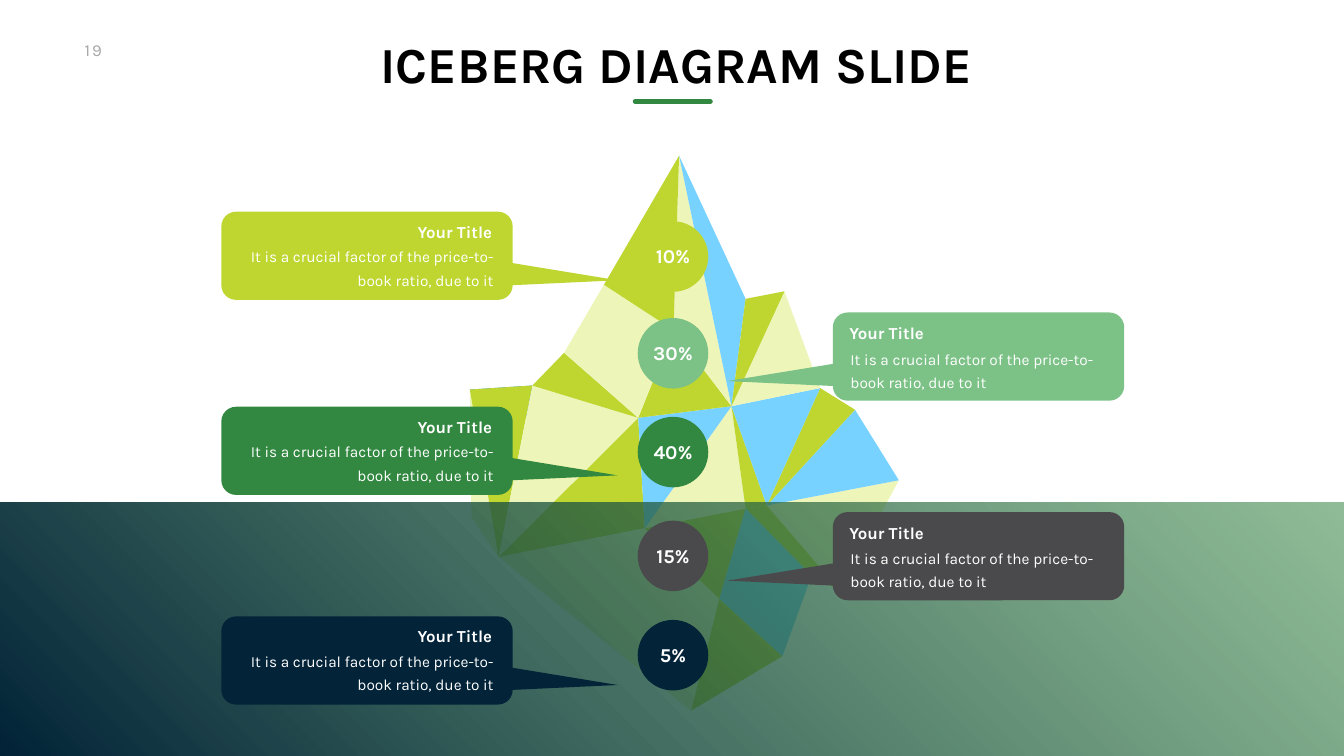
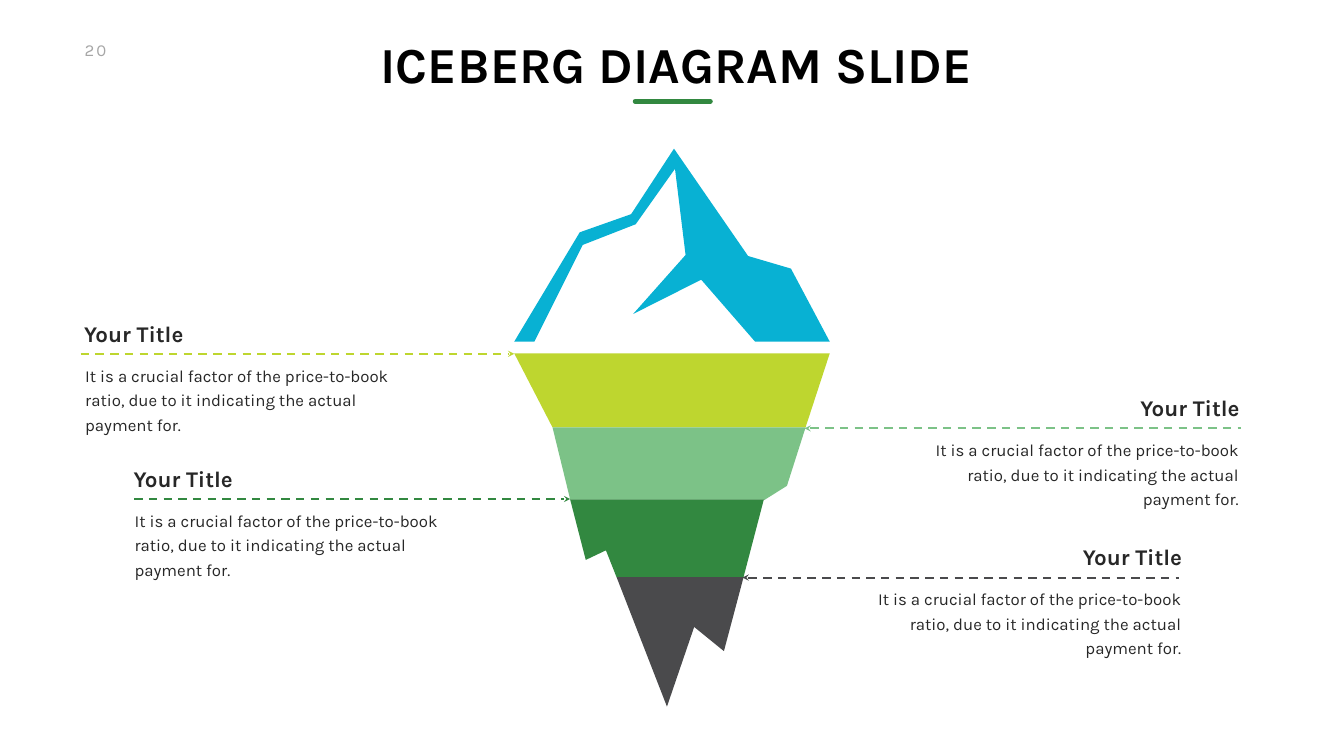
"""Builds two iceberg diagram slides."""
from lxml.etree import SubElement
from pptx import Presentation
from pptx.dml.color import RGBColor
from pptx.enum.dml import MSO_LINE_DASH_STYLE as DASH
from pptx.enum.shapes import MSO_CONNECTOR, MSO_SHAPE
from pptx.enum.text import MSO_ANCHOR as ANCHOR, MSO_AUTO_SIZE as AUTO_SIZE, PP_ALIGN as ALIGN
from pptx.oxml.ns import qn
from pptx.util import Inches, Pt

COLORS = {
    "white": "FFFFFF", "black": "000000", "ink": "272727", "number": "A6A6A6",
    "lime": "BED62F", "mint": "7CC287", "green": "328840", "gray": "4A4A4C", "navy": "022338",
    "pale": "EEF5B8", "sky": "78D2FF", "blue": "2191C9", "cyan": "08B1D3", "sea": "428D4E",
}
FONT = "Karla"
BODY_INSETS = (0.24, 0.12, 0.24, 0.12)
CALLOUT_TEXT = "It is a crucial factor of the price-to-book ratio, due to it"
NOTE_TEXT = CALLOUT_TEXT + " indicating the actual payment for."

CORNERS = {
    "Z": (4.15, 0), "a": (4.04, 3.46), "b": (2.66, 2.56), "c": (1.87, 3.91),
    "d": (1.24, 4.56), "e": (0, 4.64), "f": (0.57, 7.96), "g": (3.34, 5.2),
    "h": (3.47, 7.39), "i": (5.19, 4.97), "j": (5.47, 7), "k": (5.89, 6.94),
    "l": (5.47, 2.84), "m": (6.24, 2.69), "n": (6.95, 4.61), "o": (7.64, 5.04),
    "p": (8.51, 6.44), "q": (7.33, 8.62), "r": (6.78, 8.33), "s": (4.95, 8.79),
    "t": (6.2, 9.93), "u": (4.39, 11.01), "v": (0.03, 7.16), "w": (2.25, 5.82),
}
FACETS = [
    ("pale", "evf sufkj pqk"), ("blue", "ewd"), ("lime", "ust shj jkqr"), ("sky", "rtsj"),
    ("pale", "ijh"), ("lime", "hfg fed"), ("pale", "fdg"), ("lime", "dcg"), ("sky", "ihg"),
    ("lime", "gai"), ("pale", "agcb aZi"), ("sky", "iZl"), ("lime", "abZ"), ("sky", "opk"),
    ("lime", "okn jik"), ("sky", "nki"), ("pale", "nim"), ("lime", "ilm"),
]
LAYERS = [
    ("cyan", [(0.4, 3.83), (1.36, 1.91), (2.41, 1.5), (3.19, 0.4), (3.4, 2.11), (2.36, 3.28),
              (3.71, 2.6), (4.78, 3.83), (6.26, 3.83), (5.49, 2.38), (4.64, 2.13), (3.17, 0),
              (2.32, 1.3), (1.3, 1.66), (0, 3.83)]),
    ("lime", [(6.26, 4.06), (0, 4.06), (0.76, 5.53), (5.78, 5.53)]),
    ("mint", [(0.76, 5.53), (1.11, 6.96), (4.98, 6.96), (5.41, 6.69), (5.78, 5.53)]),
    ("green", [(1.11, 6.96), (1.42, 8.16), (1.82, 7.97), (2.03, 8.5), (4.55, 8.5),
               (4.95, 6.97), (4.98, 6.96)]),
    ("gray", [(2.03, 8.5), (3.03, 11.07), (3.57, 9.49), (4.16, 9.97), (4.55, 8.5)]),
]
SHARES = [(4.39, "10%", "lime"), (6.31, "30%", "mint"), (8.27, "40%", "green"),
          (10.33, "15%", "gray"), (12.3, "5%", "navy")]
CALLOUTS = [(4.39, 4.2, "lime", True), (4.39, 8.07, "green", True), (4.39, 12.23, "navy", True),
            (16.52, 6.2, "mint", False), (16.52, 10.16, "gray", False)]
NOTES = [(24.69, 8.5, 24.61, 15.96, "mint"), (23.55, 11.46, 23.38, 14.73, "gray"),
         (1.57, 7.02, 1.6, 10.2, "lime"), (2.55, 9.9, 2.66, 11.31, "green")]


def rgb(name):
    """Returns a palette colour."""
    return RGBColor.from_string(COLORS[name])


def paint(shape, color):
    """Gives a shape a plain fill without line or shadow."""
    shape.shadow.inherit = False
    shape.fill.solid()
    shape.fill.fore_color.rgb = rgb(color)
    shape.line.fill.background()


def add_text(slide, box, text, size, color, bold=False, align=ALIGN.LEFT, anchor=ANCHOR.TOP,
             insets=(0.1, 0.05, 0.1, 0.05), wrap=False, leading=None):
    """Adds one paragraph of text in a box that grows with it."""
    frame = slide.shapes.add_textbox(*map(Inches, box)).text_frame
    frame.word_wrap = wrap
    frame.auto_size = AUTO_SIZE.SHAPE_TO_FIT_TEXT
    frame.vertical_anchor = anchor
    (frame.margin_left, frame.margin_top,
     frame.margin_right, frame.margin_bottom) = map(Inches, insets)
    paragraph = frame.paragraphs[0]
    paragraph.text = text
    paragraph.alignment = align
    if leading:
        paragraph.line_spacing = Pt(leading)
    font = paragraph.font
    font.name, font.size, font.bold = FONT, Pt(size), bold
    font.color.rgb = rgb(color)
    return paragraph


def add_line(slide, start, end, y, color, width):
    """Adds a horizontal line and returns it."""
    rule = slide.shapes.add_connector(
        MSO_CONNECTOR.STRAIGHT, Inches(start), Inches(y), Inches(end), Inches(y))
    rule.line.color.rgb = rgb(color)
    rule.line.width = Pt(width)
    SubElement(rule._element.spPr, qn("a:effectLst"))
    return rule


def add_polygon(slide, left, top, points, color):
    """Adds a closed outline whose points are measured from left and top."""
    corners = [(Inches(left + x), Inches(top + y)) for x, y in points]
    builder = slide.shapes.build_freeform(*corners[0])
    builder.add_line_segments(corners[1:], close=True)
    paint(builder.convert_to_shape(), color)


def add_heading(slide, number):
    """Adds the page number, the title and its underline."""
    page = add_text(slide, (1.58, 0.74, 0.75, 0.5), number, 24, "number")
    page.runs[0].font._element.set("spc", "300")
    add_text(slide, (7.17, 0.65, 12.39, 1.21), "ICEBERG DIAGRAM SLIDE", 72, "black", True,
             ALIGN.CENTER, insets=(0.1, 0, 0, 0))
    underline = add_line(slide, 12.6, 14.09, 2.01, "green", 7)
    underline.line._get_or_add_ln().set("cap", "rnd")


def add_faceted_iceberg(slide, left, top):
    """Draws the iceberg from facets that share their corners."""
    for color, facets in FACETS:
        for facet in facets.split():
            add_polygon(slide, left, top, [CORNERS[key] for key in facet], color)


def add_water(slide, left, top, width, height):
    """Covers the lower part with a half transparent gradient."""
    water = slide.shapes.add_shape(
        MSO_SHAPE.RECTANGLE, *map(Inches, (left, top, width, height)))
    water.shadow.inherit = False
    water.line.fill.background()
    water.fill.gradient()
    water.fill.gradient_angle = 45
    for stop, color, position in zip(water.fill.gradient_stops, ("navy", "sea"), (0, 1)):
        stop.color.rgb = rgb(color)
        stop.position = position
    surface = water._element.spPr.findall(".//" + qn("a:srgbClr"))[-1]
    SubElement(surface, qn("a:alpha")).set("val", "59000")


def add_share(slide, left, top, share, color):
    """Adds a circle with its percentage."""
    circle = slide.shapes.add_shape(
        MSO_SHAPE.OVAL, *map(Inches, (left, top, 1.4, 1.4)))
    paint(circle, color)
    add_text(slide, (left + 0.2, top + 0.41, 1, 0.57), share, 28, "white", True, ALIGN.CENTER)


def add_callout(slide, left, top, color, points_right):
    """Adds a callout with its title and text, aligned towards its tip."""
    bubble = slide.shapes.add_shape(
        MSO_SHAPE.ROUNDED_RECTANGULAR_CALLOUT, *map(Inches, (left, top, 5.78, 1.75)))
    for index, value in enumerate((0.86 if points_right else -0.863, 0.278, 0.167)):
        bubble.adjustments[index] = value
    paint(bubble, color)
    if points_right:
        align, title_x, title_y, body_x, body_y = ALIGN.RIGHT, 3.66, 0.14, 0.2, 0.5
    else:
        align, title_x, title_y, body_x, body_y = ALIGN.LEFT, 0.23, 0.16, 0.11, 0.53
    add_text(slide, (left + title_x, top + title_y, 1.81, 0.5), "Your Title", 24, "white", True,
             align, ANCHOR.MIDDLE)
    add_text(slide, (left + body_x, top + body_y, 5.44, 1.14), CALLOUT_TEXT, 22, "white",
             align=align, insets=BODY_INSETS, wrap=True, leading=33)


def add_layered_iceberg(slide, left, top):
    """Draws the iceberg as a peak above four layers."""
    for color, points in LAYERS:
        add_polygon(slide, left, top, points, color)


def add_note(slide, edge, y, line_start, tip, color):
    """Adds a dashed arrow to the iceberg with a title above and text below."""
    on_right = line_start > tip
    arrow = add_line(slide, min(line_start, tip), max(line_start, tip), y, color, 3)
    arrow.line.dash_style = DASH.DASH
    end = "a:headEnd" if on_right else "a:tailEnd"
    SubElement(arrow.line._get_or_add_ln(), qn(end)).set("type", "stealth")
    if on_right:
        align, title_left, body_left = ALIGN.RIGHT, edge - 2.35, edge + 0.12 - 7.27
    else:
        align, title_left, body_left = ALIGN.LEFT, edge, edge - 0.12
    add_text(slide, (body_left, y + 0.02, 7.27, 1.19), NOTE_TEXT, 24, "ink",
             align=align, insets=BODY_INSETS, wrap=True, leading=35)
    add_text(slide, (title_left, y - 0.73, 2.35, 0.64), "Your Title", 32, "ink", True,
             align, ANCHOR.MIDDLE)


def build_callout_slide(slide):
    """Builds the iceberg in water with shares and callouts."""
    add_faceted_iceberg(slide, 9.32, 3.09)
    add_heading(slide, "19")
    add_water(slide, 0, 9.98, 26.66, 5.02)
    for top, share, color in SHARES:
        add_share(slide, 12.65, top, share, color)
    for callout in CALLOUTS:
        add_callout(slide, *callout)


def build_layer_slide(slide):
    """Builds the layered iceberg with its notes."""
    add_heading(slide, "20")
    add_layered_iceberg(slide, 10.2, 2.95)
    for note in NOTES:
        add_note(slide, *note)


def main():
    """Builds and saves the presentation."""
    deck = Presentation()
    deck.slide_width, deck.slide_height = Inches(26.66), Inches(15)
    for build in (build_callout_slide, build_layer_slide):
        build(deck.slides.add_slide(deck.slide_layouts[6]))
    deck.save("out.pptx")


if __name__ == "__main__":
    main()
